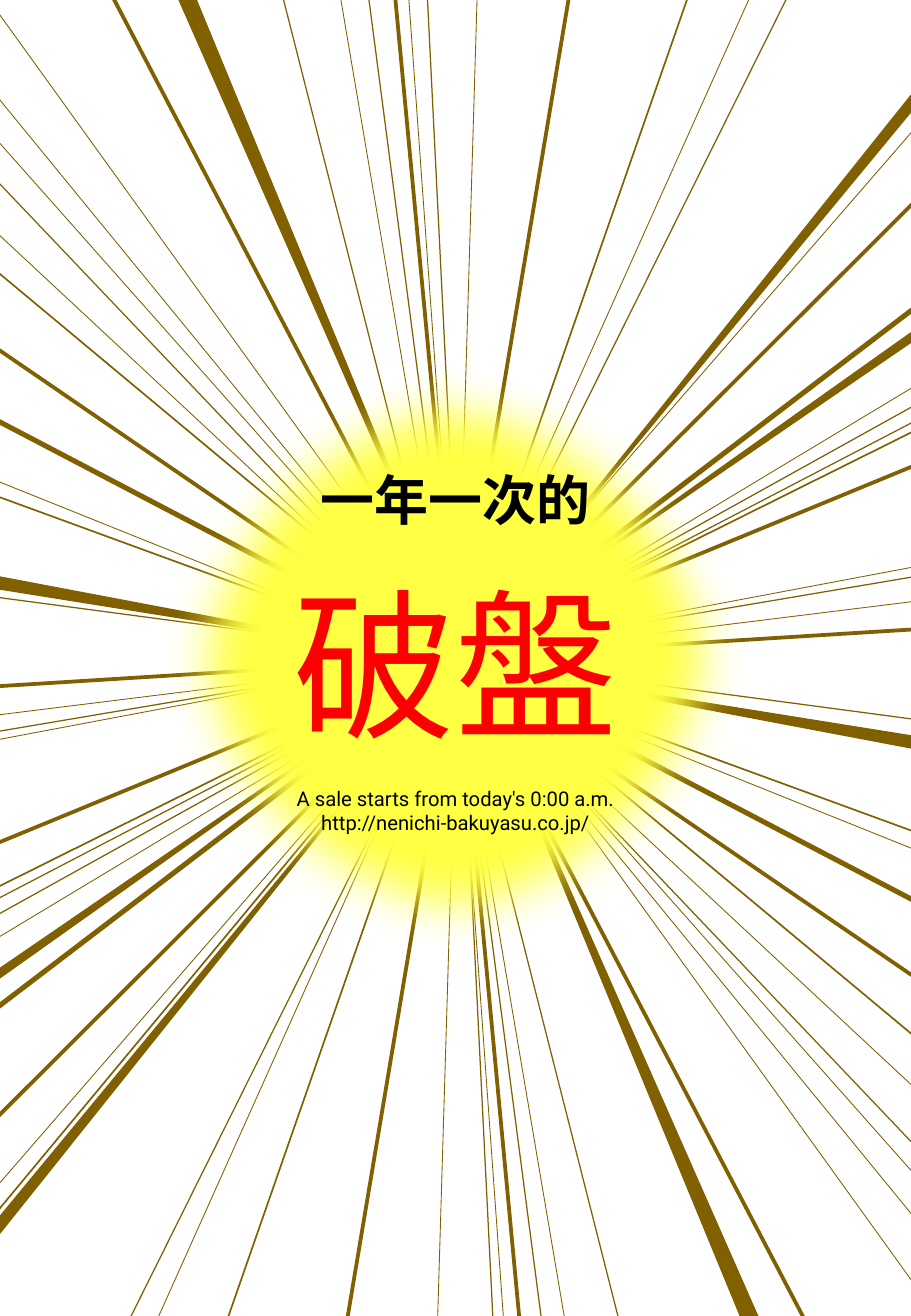
"""Build a sale flyer with radiating speed lines around a glowing headline."""
import pptx
import pptx.util
import pptx.dml.color
import pptx.enum.shapes
import pptx.enum.text
import pptx.oxml
import pptx.oxml.ns
from pptx.util import Inches

RAY, GLOW, INK, RED = "806000", "FFFF43", "000000", "FA0000"
CJK, LATIN = "Noto Sans CJK JP", "Roboto"

TEASER = ["一年一次的"]
HEADLINE = ["破盤"]
DETAILS = ["A sale starts from today's 0:00 a.m.", "http://nenichi-bakuyasu.co.jp/"]

RAYS = {
    3: [(7.68, 2.42, -0.14, 8.38), (7.58, 7.44, -0.14, 3.4)],
    2.25: [
        (4.69, -0.06, 2.84, 10.97), (0.91, -0.06, 6.64, 10.89),
        (7.55, 1.64, -0.18, 9.35), (3.25, -0.06, 4.29, 11),
        (7.58, 3.81, -0.22, 7.02), (-0.22, 5.66, 7.68, 5.17),
        (-0.14, 2.79, 7.66, 8.13),
    ],
    1: [
        (-0.09, 10.05, 7.61, 0.78), (1.85, 10.92, 5.69, -0.1),
        (-0.15, 2.13, 7.59, 8.58), (-0.09, 4.06, 7.57, 6.86),
        (-0.14, 7.36, 7.62, 3.5),
    ],
    0.75: [
        (4.47, 10.95, 3.03, -0.06), (2.33, -0.02, 5.11, 10.92),
        (1.01, 10.97, 6.49, -0.04), (-0.11, 1.4, 7.62, 9.52),
        (-0.14, 4.9, 7.68, 5.94), (-0.15, 7.6, 7.63, 3.28),
        (-0.16, 7.47, 7.6, 3.43), (3.52, 0, 4.06, 10.89),
        (-0.14, 6.04, 7.62, 4.73),
    ],
    0.5: [
        (2.8, -0.04, 4.66, 10.92), (3.36, -0.09, 4.15, 10.92),
        (-0.14, 1.81, 7.57, 8.99), (-0.11, 0.69, 7.7, 10.23),
        (-0.09, 1.08, 7.8, 9.97), (-0.09, 0, 7.55, 10.6),
        (7.59, 0.99, -0.18, 9.94), (6.19, -0.06, 1.24, 10.98),
        (3.93, -0.09, 3.6, 10.95), (-0.14, 6.11, 7.66, 4.64),
        (7.61, 3.13, -0.09, 7.76), (7.68, 4.93, -0.23, 5.91),
        (-0.12, 3.92, 7.6, 7.02),
    ],
}

# Each pair of spikes: width, length, angle, then both top-left corners.
SPIKES = [
    (0.15, 6.18, 156.9, [(2.55, -0.56), (4.99, 5.16)]),
    (0.12, 4.18, 279.9, [(5.75, 3.72), (1.61, 3)]),
    (0.08, 4.93, 55.1, [(1.67, 4.35), (5.73, 1.52)]),
    (0.1, 6.18, 219.1, [(5.68, -0.06), (1.77, 4.75)]),
]


def color(value):
    return pptx.dml.color.RGBColor.from_string(value)


def add_effects(shape, inner=""):
    namespace = pptx.oxml.ns.nsdecls("a")
    effects = pptx.oxml.parse_xml(f"<a:effectLst {namespace}>{inner}</a:effectLst>")
    shape.element.spPr.append(effects)


def add_solid(shapes, preset, left, top, width, height, fill):
    solid = shapes.add_shape(preset, Inches(left), Inches(top), Inches(width), Inches(height))
    solid.fill.solid()
    solid.fill.fore_color.rgb = color(fill)
    solid.line.fill.background()
    return solid


def write(box, area, lines, size, font, ink, bold=False, inset=None, anchor="TOP"):
    box.left, box.top, box.width, box.height = map(Inches, area)
    frame = box.text_frame
    frame.word_wrap = True
    frame.auto_size = pptx.enum.text.MSO_AUTO_SIZE.SHAPE_TO_FIT_TEXT
    frame.vertical_anchor = pptx.enum.text.MSO_ANCHOR[anchor]
    if inset is not None:
        frame.margin_left = frame.margin_right = Inches(inset)
        frame.margin_top = frame.margin_bottom = Inches(inset)
    for index, line in enumerate(lines):
        paragraph = frame.add_paragraph() if index else frame.paragraphs[0]
        paragraph.alignment = pptx.enum.text.PP_ALIGN.CENTER
        paragraph.space_before = pptx.util.Pt(0)
        run = paragraph.add_run()
        run.text = line
        run.font.size = pptx.util.Pt(size)
        run.font.bold = bold
        run.font.color.rgb = color(ink)
        run.font.name = font
        namespace = pptx.oxml.ns.nsdecls("a")
        east_asian = pptx.oxml.parse_xml(f'<a:ea {namespace} typeface="{font}"/>')
        run.font._element.append(east_asian)
    box.element.getparent().append(box.element)


def main():
    flyer = pptx.Presentation()
    flyer.slide_width, flyer.slide_height = Inches(7.5), Inches(10.83)
    slide = flyer.slides.add_slide(flyer.slide_layouts[0])
    presets = pptx.enum.shapes.MSO_SHAPE

    burst = slide.shapes.add_group_shape().shapes
    for weight, rays in RAYS.items():
        for ends in rays:
            ray = burst.add_connector(
                pptx.enum.shapes.MSO_CONNECTOR.STRAIGHT, *map(Inches, ends))
            ray.line.color.rgb = color(RAY)
            ray.line.width = pptx.util.Pt(weight)
            add_effects(ray)
    for width, length, angle, corners in SPIKES:
        for turn, (left, top) in zip((0, 180), corners):
            spike = add_solid(burst, presets.ISOSCELES_TRIANGLE, left, top, width, length, RAY)
            spike.rotation = (angle + turn) % 360
            spike.shadow.inherit = False

    glow = add_solid(slide.shapes, presets.OVAL, 1.27, 2.94, 4.96, 4.96, GLOW)
    add_effects(glow, f'<a:softEdge rad="{pptx.util.Pt(30)}"/>')

    teaser = slide.shapes.add_textbox(0, 0, 0, 0)
    write(teaser, (2.19, 3.79, 3.12, 0.64), TEASER, 32, CJK, INK, bold=True)
    write(slide.shapes.title, (2.19, 4.51, 3.12, 1.87), HEADLINE, 96, CJK, RED,
          inset=0, anchor="MIDDLE")
    write(slide.placeholders[1], (2.17, 6.42, 3.16, 0.5), DETAILS, 12, LATIN, INK)

    flyer.save("out.pptx")


if __name__ == "__main__":
    main()
